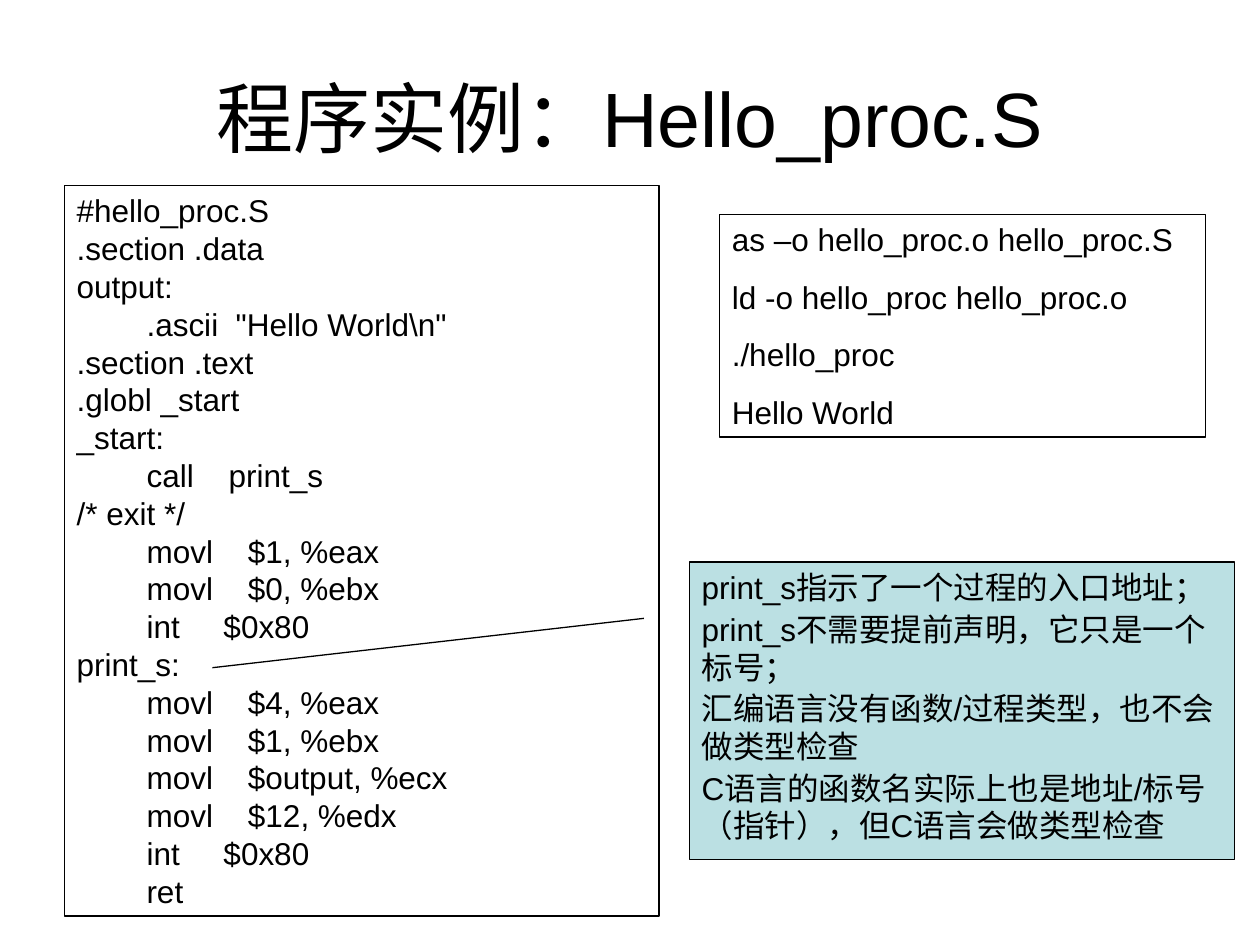
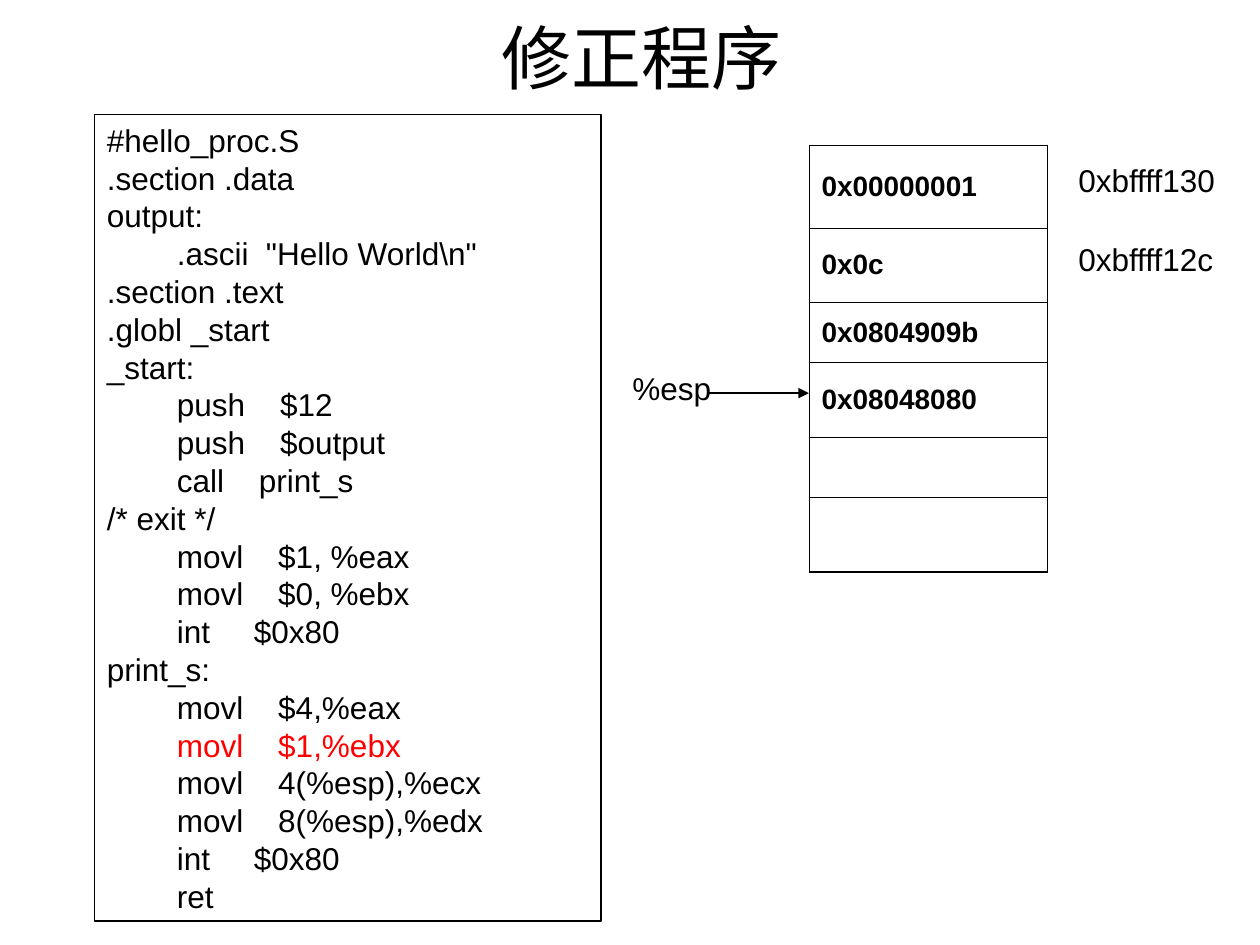
from dataclasses import dataclass

from lxml.etree import SubElement
from pptx import Presentation
from pptx.dml.color import RGBColor
from pptx.enum.shapes import MSO_CONNECTOR, MSO_SHAPE
from pptx.enum.text import MSO_ANCHOR, MSO_AUTO_SIZE, PP_ALIGN
from pptx.oxml.ns import qn
from pptx.util import Inches, Pt


@dataclass(frozen=True)
class Theme:
    font: str = "Arial"
    ink: str = "000000"
    highlight: str = "FF0000"
    callout_fill: str = "BBE0E3"
    body_size: float = 18
    cell_size: float = 16
    line_height: float = 21.6
    outline: float = 0.75
    cell_border: float = 0.45
    last_border: float = 1.08


THEME = Theme()

# Parts of the program that both listings share
PROGRAM_HEAD = r"""#hello_proc.S
.section .data
output:
        .ascii  "Hello World\n"
.section .text
.globl _start
_start:
"""
CALL_AND_EXIT = """        call    print_s
/* exit */
        movl    $1, %eax
        movl    $0, %ebx
        int     $0x80
print_s:
"""
PROGRAM_END = """        int     $0x80
        ret"""

FIRST_PROGRAM = PROGRAM_HEAD + CALL_AND_EXIT + """        movl    $4, %eax
        movl    $1, %ebx
        movl    $output, %ecx
        movl    $12, %edx
""" + PROGRAM_END

FIXED_PROGRAM = PROGRAM_HEAD + """        push    $12
        push    $output
""" + CALL_AND_EXIT + """        movl    $4,%eax
        movl    $1,%ebx
        movl    4(%esp),%ecx
        movl    8(%esp),%edx
""" + PROGRAM_END

COMMANDS = [
    "as –o hello_proc.o hello_proc.S",
    "ld -o hello_proc hello_proc.o",
    "./hello_proc",
    "Hello World",
]
PROCEDURE_NOTES = [
    "print_s指示了一个过程的入口地址；",
    "print_s不需要提前声明，它只是一个标号；",
    "汇编语言没有函数/过程类型，也不会做类型检查",
    "C语言的函数名实际上也是地址/标号（指针），但C语言会做类型检查",
]
STACK = [
    ("0x00000001", 0.66),
    ("0x0c", 0.59),
    ("0x0804909b", 0.48),
    ("0x08048080", 0.59),
    ("", 0.48),
    ("", 0.59),
]


def rgb(color):
    return RGBColor.from_string(color)


def inches(*lengths):
    return [Inches(length) for length in lengths]


def add_run(paragraph, text, size, color=THEME.ink, bold=False):
    run = paragraph.add_run()
    run.text = text
    run.font.name = THEME.font
    run.font.size = Pt(size)
    run.font.bold = bold
    run.font.color.rgb = rgb(color)


def write_lines(frame, lines, gap=0, marked=None):
    """Fill a frame with one paragraph a line; the marked line is highlighted."""
    frame.word_wrap = True
    frame.vertical_anchor = MSO_ANCHOR.TOP
    for number, line in enumerate(lines):
        paragraph = frame.add_paragraph() if number else frame.paragraphs[0]
        paragraph.alignment = PP_ALIGN.LEFT
        paragraph.line_spacing = Pt(THEME.line_height)
        paragraph.space_before = Pt(gap if number else 0)
        color = THEME.highlight if line.strip() == marked else THEME.ink
        add_run(paragraph, line, THEME.body_size, color)


def add_title(slide, text, place, size):
    frame = slide.shapes.add_textbox(*inches(*place)).text_frame
    frame.word_wrap = True
    frame.vertical_anchor = MSO_ANCHOR.MIDDLE
    frame.paragraphs[0].alignment = PP_ALIGN.CENTER
    add_run(frame.paragraphs[0], text, size)


def add_panel(slide, lines, place, gap=0, marked=None,
              kind=MSO_SHAPE.RECTANGLE, fill=None):
    panel = slide.shapes.add_shape(kind, *inches(*place))
    panel.shadow.inherit = False
    if fill:
        panel.fill.solid()
        panel.fill.fore_color.rgb = rgb(fill)
    else:
        panel.fill.background()
    panel.line.color.rgb = rgb(THEME.ink)
    panel.line.width = Pt(THEME.outline)
    write_lines(panel.text_frame, lines, gap, marked)
    return panel


def add_label(slide, text, left, top, width):
    label = slide.shapes.add_textbox(*inches(left, top, width, 0.4))
    write_lines(label.text_frame, [text])
    label.text_frame.auto_size = MSO_AUTO_SIZE.SHAPE_TO_FIT_TEXT


def add_arrow(slide, start, end):
    arrow = slide.shapes.add_connector(MSO_CONNECTOR.STRAIGHT, *inches(*start, *end))
    arrow.line.color.rgb = rgb(THEME.ink)
    arrow.line.width = Pt(THEME.outline)
    SubElement(arrow.line._get_or_add_ln(), qn("a:tailEnd"), type="triangle")
    SubElement(arrow._element.spPr, qn("a:effectLst"))


def set_borders(cell, bottom):
    properties = cell._tc.get_or_add_tcPr()
    for side in "LRTB":
        width = bottom if side == "B" else THEME.cell_border
        border = SubElement(properties, qn(f"a:ln{side}"), w=str(int(Pt(width))))
        fill = SubElement(border, qn("a:solidFill"))
        SubElement(fill, qn("a:srgbClr"), val=THEME.ink)


def add_stack(slide, left, top, width):
    height = sum(row_height for _, row_height in STACK)
    frame = slide.shapes.add_table(len(STACK), 1, *inches(left, top, width, height))
    stack = frame.table
    stack.first_row = stack.horz_banding = False
    for number, (value, row_height) in enumerate(STACK):
        stack.rows[number].height = Inches(row_height)
        cell = stack.cell(number, 0)
        is_last = number == len(STACK) - 1
        set_borders(cell, THEME.last_border if is_last else THEME.cell_border)
        cell.fill.background()
        cell.vertical_anchor = MSO_ANCHOR.MIDDLE
        if value:
            add_run(cell.text_frame.paragraphs[0], value, THEME.cell_size, bold=True)


def build_example(slide):
    add_title(slide, "程序实例：Hello_proc.S", (0.5, 0.3, 9, 1.25), size=44)
    add_panel(slide, FIRST_PROGRAM.splitlines(), (0.51, 1.47, 4.72, 5.8))

    # Notes with a leader line to the print_s label
    notes = add_panel(slide, PROCEDURE_NOTES, (5.47, 4.46, 4.33, 2.36), gap=2.2,
                      kind=MSO_SHAPE.LINE_CALLOUT_1, fill=THEME.callout_fill)
    for index, value in enumerate((0.19, -0.083, 0.356, -0.874)):
        notes.adjustments[index] = value

    # Build commands and their output
    add_panel(slide, COMMANDS, (5.71, 1.7, 3.86, 1.77), gap=11.2)


def build_correction(slide):
    add_title(slide, "修正程序", (0.59, 0.13, 9, 0.63), size=40)
    add_panel(slide, FIXED_PROGRAM.splitlines(), (0.75, 0.91, 4.02, 6.4),
              marked="movl    $1,%ebx")

    # Stack with its addresses and pointer
    add_stack(slide, 6.42, 1.15, 1.89)
    for address, top in (("0xbffff130", 1.23), ("0xbffff12c", 1.86)):
        add_label(slide, address, 8.46, top, 1.34)
    add_arrow(slide, (5.63, 3.12), (6.42, 3.12))
    add_label(slide, "%esp", 4.92, 2.88, 0.87)


def main():
    deck = Presentation()
    deck.slide_width, deck.slide_height = inches(10, 7.5)
    blank = deck.slide_layouts[6]
    for build in (build_example, build_correction):
        build(deck.slides.add_slide(blank))
    deck.save("out.pptx")


if __name__ == "__main__":
    main()
